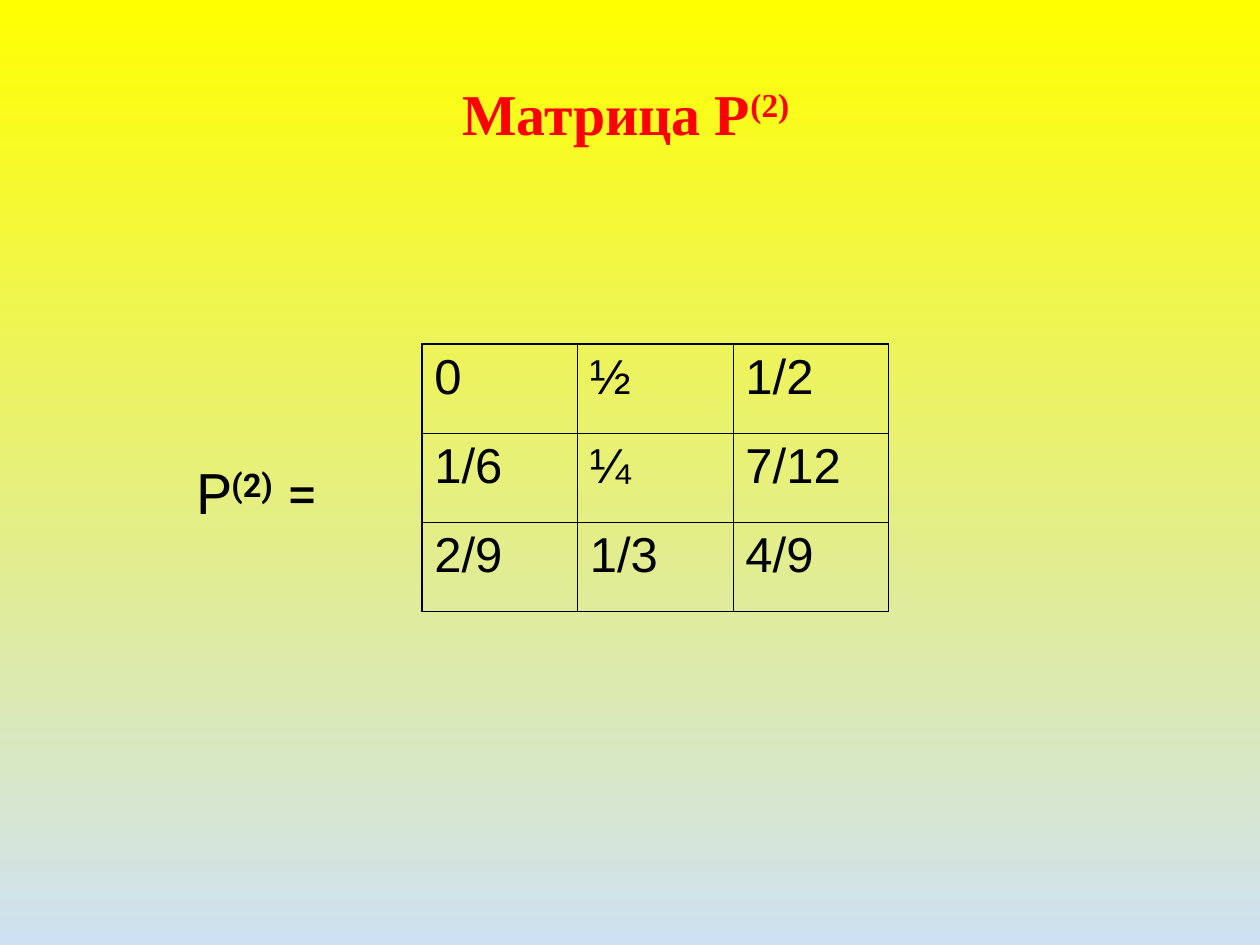
from lxml.etree import SubElement
from pptx import Presentation
from pptx.dml.color import RGBColor
from pptx.enum.text import MSO_ANCHOR, PP_ALIGN
from pptx.oxml.ns import qn
from pptx.util import Pt

COLORS = {"top": "FFFF00", "bottom": "CEE1F2", "title": "FF0000", "text": "000000"}
MATRIX = [["0", "½", "1/2"], ["1/6", "¼", "7/12"], ["2/9", "1/3", "4/9"]]
OUTER, INNER = 1.08, 0.45


def style(paragraph, font_name, size, color):
    paragraph.font.name = font_name
    paragraph.font.size = Pt(size)
    paragraph.font.color.rgb = RGBColor.from_string(COLORS[color])


def add_superscript(paragraph, text):
    run = paragraph.add_run()
    run.text = text
    run.font.bold = True
    run._r.get_or_add_rPr().set("baseline", "30000")


presentation = Presentation()
presentation.slide_width, presentation.slide_height = Pt(720), Pt(540)
slide = presentation.slides.add_slide(presentation.slide_layouts[6])

background = slide.background.fill
background.gradient()
background.gradient_angle = 270
for stop, name in zip(background.gradient_stops, ("top", "bottom")):
    stop.color.rgb = RGBColor.from_string(COLORS[name])

# Title
title = slide.shapes.add_textbox(Pt(36), Pt(21.6), Pt(648), Pt(90)).text_frame
title.word_wrap = True
title.vertical_anchor = MSO_ANCHOR.MIDDLE
paragraph = title.paragraphs[0]
paragraph.alignment = PP_ALIGN.CENTER
paragraph.line_spacing = 0.9
style(paragraph, "Times New Roman", 33, "title")
paragraph.font.bold = True
paragraph.add_run().text = "Матрица Р"
add_superscript(paragraph, "(2) ")

# Matrix
last = len(MATRIX) - 1
table = slide.shapes.add_table(3, 3, Pt(241), Pt(196.5), Pt(266.7), Pt(153)).table
table.first_row = table.horz_banding = False
for column in table.columns:
    column.width = Pt(88.9)
for row in table.rows:
    row.height = Pt(51)
for i, values in enumerate(MATRIX):
    for j, value in enumerate(values):
        cell = table.cell(i, j)
        cell.text = value
        paragraph = cell.text_frame.paragraphs[0]
        paragraph.space_before = Pt(7)
        style(paragraph, "Arial", 28, "text")
        edges = {"lnL": j == 0, "lnR": j == last, "lnT": i == 0, "lnB": i == last}
        properties = cell._tc.get_or_add_tcPr()
        for tag, is_outer in edges.items():
            width = Pt(OUTER if is_outer else INNER)
            line = SubElement(properties, qn(f"a:{tag}"), w=str(width))
            fill = SubElement(line, qn("a:solidFill"))
            SubElement(fill, qn("a:srgbClr"), val=COLORS["text"])
        cell.fill.background()

# Matrix name
label = slide.shapes.add_textbox(Pt(105), Pt(258.5), Pt(119), Pt(46)).text_frame
label.word_wrap = True
paragraph = label.paragraphs[0]
paragraph.space_before = Pt(20)
style(paragraph, "Roboto", 32, "text")
paragraph.add_run().text = "Р"
add_superscript(paragraph, "(2)")
paragraph.add_run().text = " ="

presentation.save("out.pptx")
